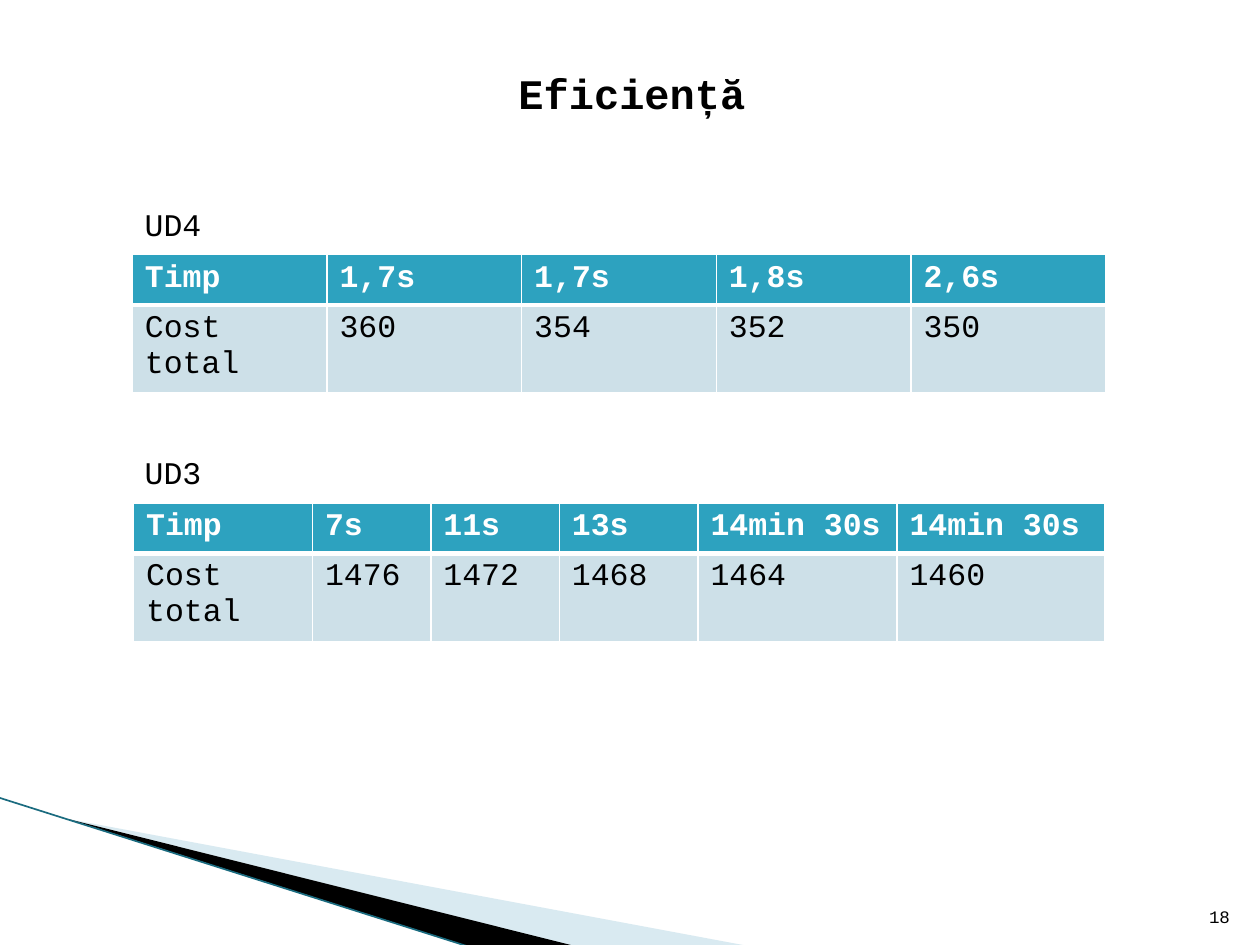
from dataclasses import dataclass

from lxml import etree
from pptx import Presentation
from pptx import util as u
from pptx.dml.color import RGBColor
from pptx.enum import text
from pptx.enum.shapes import MSO_CONNECTOR
from pptx.oxml.ns import qn

Inches, Pt = u.Inches, u.Pt


@dataclass(frozen=True)
class Theme:
    font: str = "Courier New"
    ink: str = "000000"
    white: str = "FFFFFF"
    header: str = "2DA2BF"
    body: str = "CDE0E8"
    pale: str = "A0CBDC"
    edge: str = "1A6B7F"
    title: int = 24
    normal: int = 18
    small: int = 10


THEME = Theme()
rgb = RGBColor.from_string


def add_run(p, words, size, color=THEME.ink, bold=False):
    r = p.add_run()
    r.text = words
    r.font.name, r.font.size, r.font.bold = THEME.font, Pt(size), bold
    r.font.color.rgb = rgb(color)


def add_text(s, box, words, size, align=text.PP_ALIGN.LEFT, bold=False,
             wrap=True, anchor=text.MSO_ANCHOR.TOP, spacing=None):
    tf = s.shapes.add_textbox(*map(Inches, box)).text_frame
    tf.word_wrap, tf.vertical_anchor = wrap, anchor
    p = tf.paragraphs[0]
    p.alignment, p.line_spacing = align, spacing
    add_run(p, words, size, bold=bold)


def add_wedge(s, points, color, alpha=None):
    start, *rest = [(Inches(x), Inches(y)) for x, y in points]
    builder = s.shapes.build_freeform(*start)
    builder.add_line_segments(rest, close=True)
    sp = builder.convert_to_shape()
    sp.shadow.inherit = False
    sp.line.fill.background()
    sp.fill.solid()
    sp.fill.fore_color.rgb = rgb(color)
    if alpha is not None:
        clr = next(sp.fill._xPr.iter(qn("a:srgbClr")))
        etree.SubElement(clr, qn("a:alpha"), val=str(alpha * 1000))


def add_corner(s, left, top, bottom):
    """Draw the fan of wedges that falls from the left edge to the bottom."""
    tip = (left + 0.55, top + 0.17)
    add_wedge(s, [tip, (5.95, bottom), (4.56, bottom)], THEME.pale, 40)
    add_wedge(s, [tip, (4.57, bottom), (3.72, bottom)], THEME.ink)
    line = s.shapes.add_connector(
        MSO_CONNECTOR.STRAIGHT, Inches(left), Inches(top), Inches(3.71), Inches(bottom))
    line.line.color.rgb = rgb(THEME.edge)
    line.line.width = Pt(0.95)
    etree.SubElement(line._element.spPr, qn("a:effectLst"))


def set_borders(cell, bottom):
    """Put white borders before the cell's fill, as the schema orders them."""
    tc_pr = cell._tc.get_or_add_tcPr()
    for i, (side, width) in enumerate(zip("LRTB", (1, 1, 1, bottom))):
        ln = etree.Element(qn(f"a:ln{side}"), w=str(Pt(width)))
        fill = etree.SubElement(ln, qn("a:solidFill"))
        etree.SubElement(fill, qn("a:srgbClr"), val=THEME.white)
        tc_pr.insert(i, ln)


def add_results(s, left, top, label, widths, times, costs):
    """Place a label with its table of times and total costs below."""
    add_text(s, (1.05, top, 0.73, 0.4), label, THEME.normal, wrap=False)
    heights = (0.39, 0.69)
    table = s.shapes.add_table(
        2, len(widths), Inches(left), Inches(top + 0.44),
        Inches(sum(widths)), Inches(sum(heights))).table
    for column, width in zip(table.columns, widths):
        column.width = Inches(width)
    rows = (
        (["Timp", *times], THEME.header, THEME.white, True, 3),
        (["Cost total", *costs], THEME.body, THEME.ink, False, 1),
    )
    for row, height, (values, fill, color, bold, bottom) in zip(table.rows, heights, rows):
        row.height = Inches(height)
        for cell, value in zip(row.cells, values):
            cell.fill.solid()
            cell.fill.fore_color.rgb = rgb(fill)
            set_borders(cell, bottom)
            add_run(cell.text_frame.paragraphs[0], value, THEME.normal, color, bold)


def main():
    prs = Presentation()
    prs.slide_width, prs.slide_height = Inches(10), Inches(7.5)
    s = prs.slides.add_slide(prs.slide_layouts[6])
    add_corner(s, -0.01, 6.33, 7.51)
    add_text(s, (9.46, 7.01, 0.4, 0.4), "18", THEME.small,
             text.PP_ALIGN.RIGHT, anchor=text.MSO_ANCHOR.BOTTOM)
    add_text(s, (0.96, 0.29, 8.11, 0.66), "Eficiență", THEME.title,
             text.PP_ALIGN.CENTER, bold=True, spacing=1.5)
    add_results(s, 1.05, 1.58, "UD4", [1.545] * 5,
                ["1,7s", "1,7s", "1,8s", "2,6s"], ["360", "354", "352", "350"])
    add_results(s, 1.06, 3.55, "UD3", [1.42, 0.94, 1.02, 1.1, 1.58, 1.65],
                ["7s", "11s", "13s", "14min 30s", "14min 30s"],
                ["1476", "1472", "1468", "1464", "1460"])
    prs.save("out.pptx")


if __name__ == "__main__":
    main()
